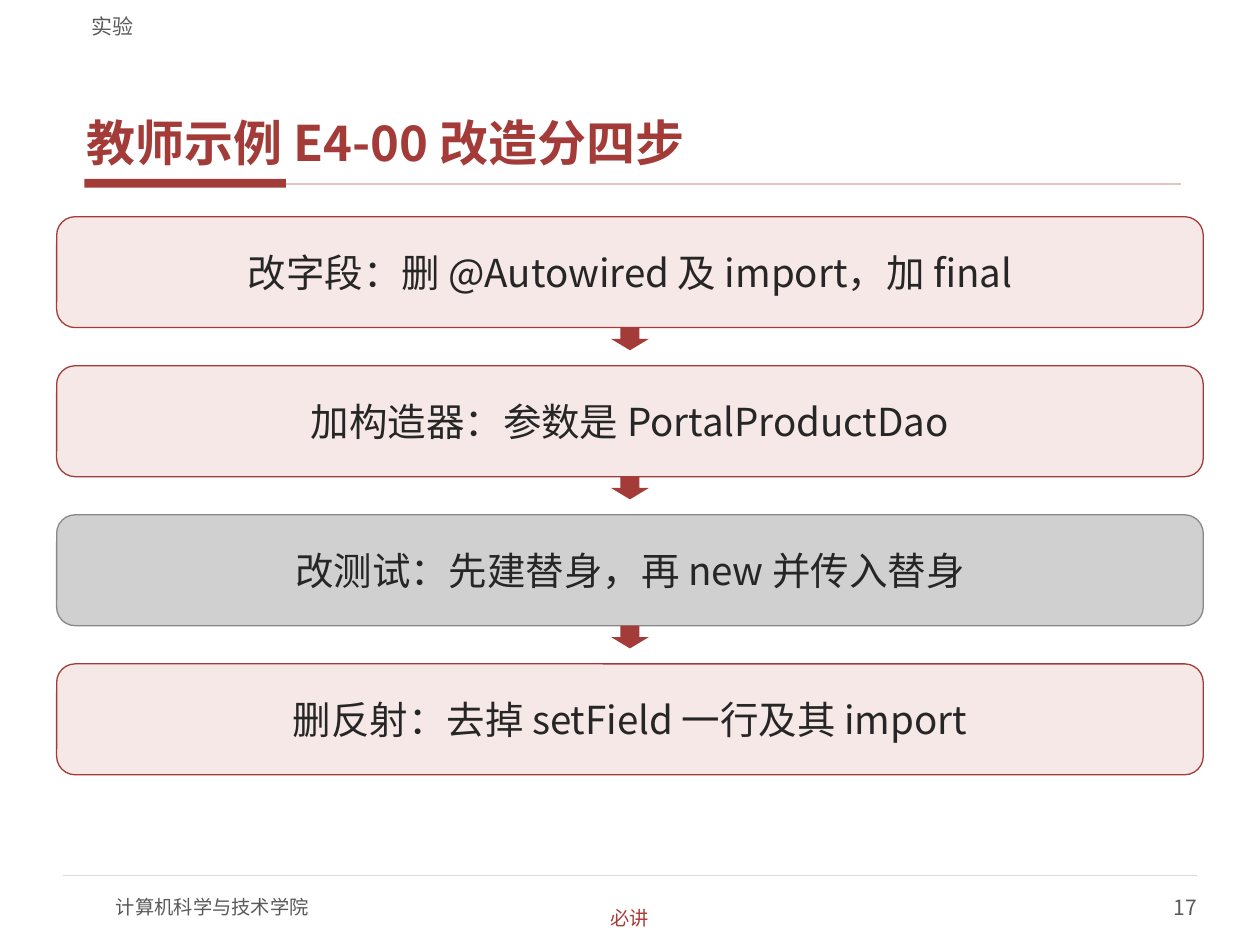
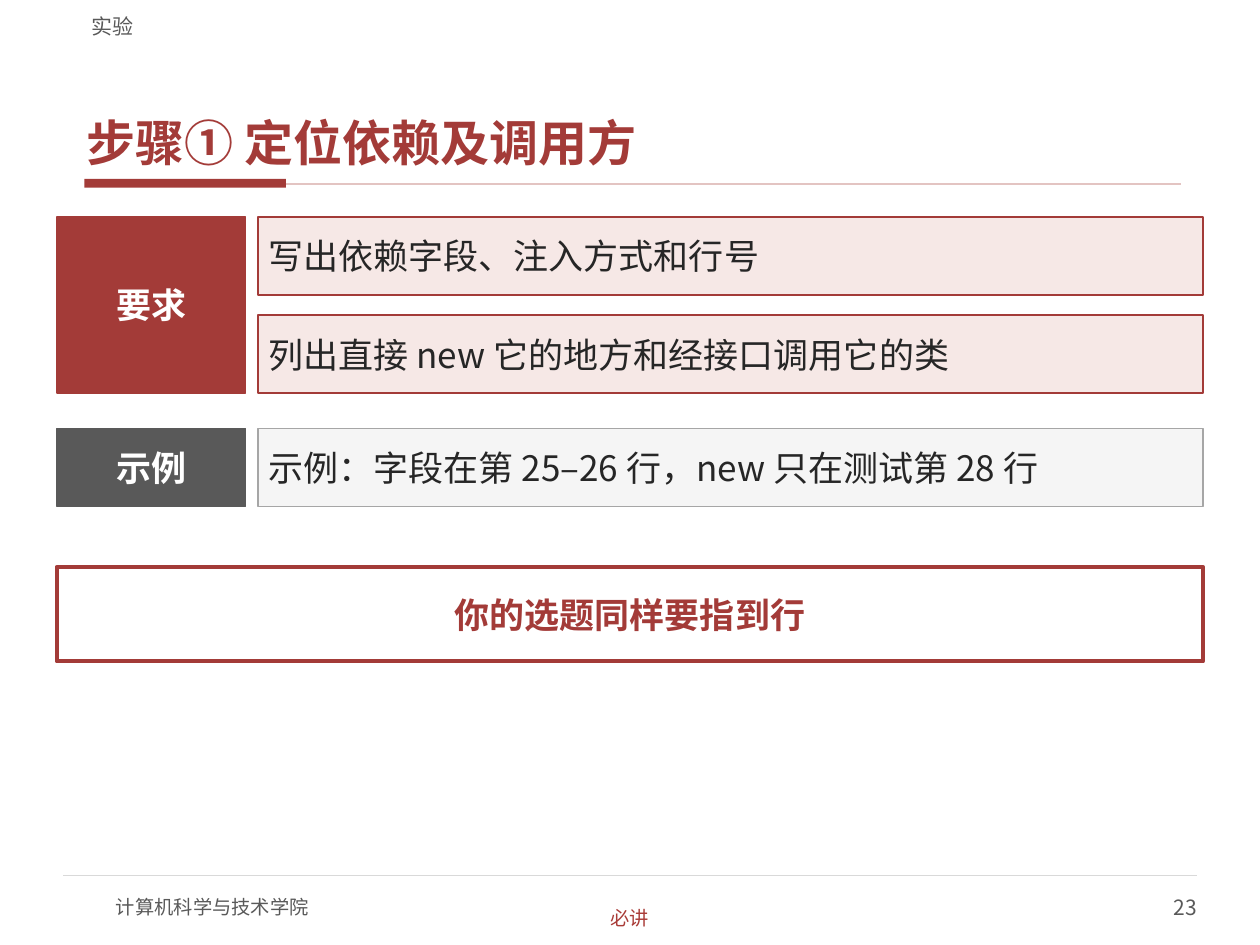
from lxml import etree
from pptx import Presentation
from pptx.dml.color import RGBColor
from pptx.enum.shapes import MSO_CONNECTOR, MSO_SHAPE
from pptx.enum.text import MSO_ANCHOR, MSO_AUTO_SIZE, PP_ALIGN
from pptx.oxml.ns import qn
from pptx.util import Inches, Pt

RECTANGLE = MSO_SHAPE.RECTANGLE
ROUNDED = MSO_SHAPE.ROUNDED_RECTANGLE
DOWN_ARROW = MSO_SHAPE.DOWN_ARROW
STRAIGHT = MSO_CONNECTOR.STRAIGHT
LEFT, CENTER, RIGHT = PP_ALIGN.LEFT, PP_ALIGN.CENTER, PP_ALIGN.RIGHT
MIDDLE, BOTTOM = MSO_ANCHOR.MIDDLE, MSO_ANCHOR.BOTTOM

RED = RGBColor(0xA3, 0x3B, 0x38)
TAG_RED = RGBColor(0xA9, 0x3B, 0x37)
PINK = RGBColor(0xF6, 0xE8, 0xE6)
RULE_PINK = RGBColor(0xE3, 0xC4, 0xC2)
INK = RGBColor(0x26, 0x26, 0x26)
DARK_GRAY = RGBColor(0x59, 0x59, 0x59)
EDGE_GRAY = RGBColor(0x88, 0x88, 0x88)
MID_GRAY = RGBColor(0xA6, 0xA6, 0xA6)
STEP_GRAY = RGBColor(0xD0, 0xD0, 0xD0)
RULE_GRAY = RGBColor(0xD9, 0xD9, 0xD9)
PALE_GRAY = RGBColor(0xF5, 0xF5, 0xF5)
WHITE = RGBColor(0xFF, 0xFF, 0xFF)

FONT = "Noto Sans CJK SC"
BODY_LEFT, BODY_TOP, BODY_WIDTH = 0.45, 1.72, 9.1


def write_text(shape, text, size, color, bold=False, align=LEFT, anchor=MIDDLE,
               insets=(0, 0), space_after=0, wrap=True):
    frame = shape.text_frame
    frame.word_wrap = wrap
    frame.auto_size = MSO_AUTO_SIZE.NONE
    frame.vertical_anchor = anchor
    frame.margin_left = frame.margin_right = Inches(insets[0])
    frame.margin_top = frame.margin_bottom = Inches(insets[1])
    paragraph = frame.paragraphs[0]
    paragraph.alignment = align
    paragraph.space_before = Pt(0)
    paragraph.space_after = Pt(space_after)
    run = paragraph.add_run()
    run.text = text
    run.font.name = FONT
    run.font.size = Pt(size)
    run.font.bold = bold
    run.font.color.rgb = color
    east_asian = etree.SubElement(run.font._element, qn("a:ea"))
    east_asian.set("typeface", FONT)


def add_box(slide, kind, place, fill, line=None, width=1):
    shape = slide.shapes.add_shape(kind, *map(Inches, place))
    shape.shadow.inherit = False
    shape.fill.solid()
    shape.fill.fore_color.rgb = fill
    if line is None:
        shape.line.fill.background()
    else:
        shape.line.color.rgb = line
        shape.line.width = Pt(width)
    return shape


presentation = Presentation()
presentation.slide_width = Inches(10)
presentation.slide_height = Inches(7.5)
title_only = presentation.slide_layouts[5]

slides = []
for title_text, number in (("教师示例 E4-00 改造分四步", "17"), ("步骤① 定位依赖及调用方", "23")):
    slide = presentation.slides.add_slide(title_only)
    slides.append(slide)

    add_box(slide, RECTANGLE, (0.67, 1.42, 1.6, 0.07), RED)
    for start, end, y, color, width in (
        (2.27, 9.37, 1.46, RULE_PINK, 1),
        (0.5, 9.5, 6.95, RULE_GRAY, 0.75),
    ):
        rule = slide.shapes.add_connector(
            STRAIGHT, Inches(start), Inches(y), Inches(end), Inches(y))
        rule.line.color.rgb = color
        rule.line.width = Pt(width)
        etree.SubElement(rule._element.spPr, qn("a:effectLst"))

    title = slide.shapes.title
    title.left, title.top, title.width, title.height = map(Inches, (0.63, 0.33, 8.75, 1.05))
    write_text(title, title_text, 28, RED, bold=True, anchor=BOTTOM,
               insets=(0.06, 0.02), space_after=2)

    for text, place, size, color, align, anchor, inset, wrap in (
        ("计算机科学与技术学院", (0.92, 7, 4, 0.4), 11, DARK_GRAY, LEFT, MIDDLE, 0, True),
        (number, (7.5, 7, 2, 0.4), 12, DARK_GRAY, RIGHT, MIDDLE, 0, True),
        ("实验", (0.63, 0.04, 8.75, 0.27), 12, DARK_GRAY, LEFT, BOTTOM, 0.1, True),
        ("必讲", (4.4, 7.18, 1.2, 0.21), 11, TAG_RED, CENTER, MIDDLE, 0, False),
    ):
        label = slide.shapes.add_textbox(*map(Inches, place))
        write_text(label, text, size, color, align=align, anchor=anchor,
                   insets=(inset, 0), wrap=wrap)

steps_slide, locate_slide = slides

STEP_HEIGHT, STEP_PITCH = 0.88, 1.183
ARROW_WIDTH, ARROW_HEIGHT = 0.3, 0.18
steps = (
    ("改字段：删 @Autowired 及 import，加 final", PINK, RED),
    ("加构造器：参数是 PortalProductDao", PINK, RED),
    ("改测试：先建替身，再 new 并传入替身", STEP_GRAY, EDGE_GRAY),
    ("删反射：去掉 setField 一行及其 import", PINK, RED),
)
for index, (text, fill, line) in enumerate(steps):
    top = BODY_TOP + index * STEP_PITCH
    step = add_box(steps_slide, ROUNDED, (BODY_LEFT, top, BODY_WIDTH, STEP_HEIGHT),
                   fill, line, 0.75)
    write_text(step, text, 22, INK, align=CENTER, insets=(0.06, 0.02), space_after=2)
    if index < len(steps) - 1:
        arrow_left = BODY_LEFT + (BODY_WIDTH - ARROW_WIDTH) / 2
        add_box(steps_slide, DOWN_ARROW,
                (arrow_left, top + STEP_HEIGHT, ARROW_WIDTH, ARROW_HEIGHT), RED)

HEAD_WIDTH, ROW_LEFT, ROW_WIDTH = 1.5, 2.05, 7.5
ROW_HEIGHT, ROW_PITCH = 0.62, 0.78
groups = (
    ("要求", BODY_TOP, RED, PINK, RED,
     ("写出依赖字段、注入方式和行号", "列出直接 new 它的地方和经接口调用它的类")),
    ("示例", 3.4, DARK_GRAY, PALE_GRAY, MID_GRAY,
     ("示例：字段在第 25–26 行，new 只在测试第 28 行",)),
)
for heading, top, head_fill, row_fill, row_line, rows in groups:
    head_height = (len(rows) - 1) * ROW_PITCH + ROW_HEIGHT
    head = add_box(locate_slide, RECTANGLE, (BODY_LEFT, top, HEAD_WIDTH, head_height),
                   head_fill, head_fill)
    write_text(head, heading, 20, WHITE, bold=True, align=CENTER, insets=(0.08, 0.04))
    for index, text in enumerate(rows):
        row = add_box(locate_slide, RECTANGLE,
                      (ROW_LEFT, top + index * ROW_PITCH, ROW_WIDTH, ROW_HEIGHT),
                      row_fill, row_line)
        write_text(row, text, 20, INK, insets=(0.08, 0.04))

conclusion = add_box(locate_slide, RECTANGLE, (BODY_LEFT, 4.5, BODY_WIDTH, 0.75),
                     WHITE, RED, 2.25)
write_text(conclusion, "你的选题同样要指到行", 20, RED, bold=True, align=CENTER,
           insets=(0.08, 0.04))

presentation.save("out.pptx")
